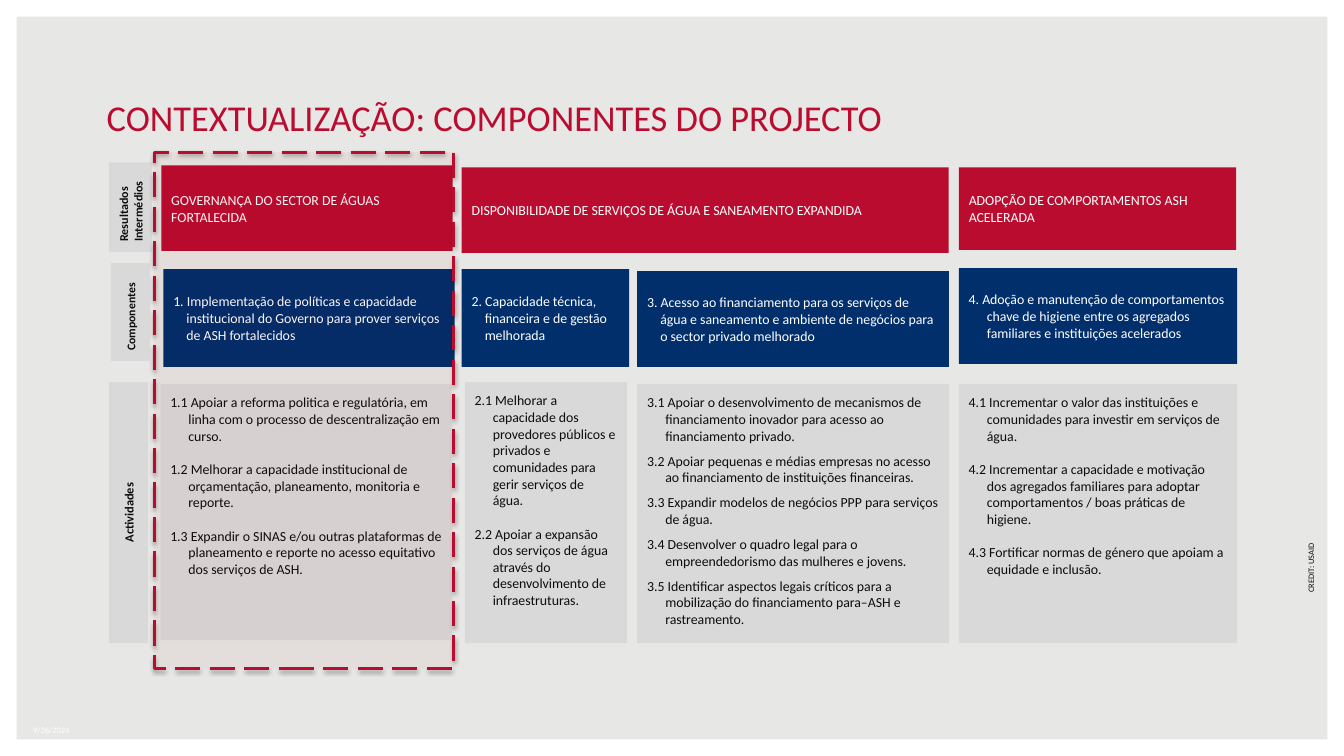
import pptx
import pptx.util
import pptx.dml.color
import pptx.enum.dml
import pptx.enum.shapes
import pptx.enum.text
import pptx.oxml
import pptx.oxml.ns
from lxml import etree

Inches, Pt = pptx.util.Inches, pptx.util.Pt
ANCHOR = pptx.enum.text.MSO_ANCHOR
ALIGN = pptx.enum.text.PP_ALIGN
PRESET = pptx.enum.shapes.MSO_SHAPE

THEME = {
    "font": "Calibri",
    "background": "E7E7E5", "white": "FFFFFF", "red": "BA0C2F", "blue": "002F6C",
    "grey": "D9D9D9", "ink": "0D0D0D", "tint": "C00000",
    "title_size": 26, "body_size": 9.9, "small_size": 6,
}

TITLE = "CONTEXTUALIZAÇÃO: COMPONENTES DO PROJECTO"
CREDIT = "CREDIT: USAID"
DATE = "9/26/2024"

ROW_LABELS = [
    ("Resultados Intermédios", (1.08, 1.61, 0.43, 0.89), 8.6, ALIGN.LEFT),
    ("Componentes", (1.1, 2.61, 0.39, 0.97), 8.4, ALIGN.LEFT),
    ("Actividades", (1.08, 3.79, 0.39, 2.59), 8.9, ALIGN.CENTER),
]

RESULTS = [
    ("GOVERNANÇA DO SECTOR DE ÁGUAS FORTALECIDA", (1.6, 1.64, 2.89, 0.85)),
    ("DISPONIBILIDADE DE SERVIÇOS DE ÁGUA E SANEAMENTO EXPANDIDA", (4.58, 1.66, 4.83, 0.85)),
    ("ADOPÇÃO DE COMPORTAMENTOS ASH ACELERADA", (9.51, 1.66, 2.75, 0.82)),
]

COMPONENTS = [
    ("1. Implementação de políticas e capacidade institucional do Governo para prover "
     "serviços de ASH fortalecidos", (1.62, 2.67, 2.89, 0.97), 0.13),
    ("2. Capacidade técnica, financeira e de gestão melhorada", (4.58, 2.67, 1.66, 0.97), 0.13),
    ("3. Acesso ao financiamento para os serviços de água e saneamento e ambiente de "
     "negócios para o sector privado melhorado", (6.32, 2.69, 3.09, 0.95), 0.13),
    ("4. Adoção e manutenção de comportamentos chave de higiene entre os agregados "
     "familiares e instituições acelerados", (9.51, 2.66, 2.76, 0.95), 0.18),
]

ACTIVITIES = [
    ([
        "1.1 Apoiar a reforma politica e regulatória, em linha com o processo de "
        "descentralização em curso.",
        "1.2 Melhorar a capacidade institucional de orçamentação, planeamento, monitoria "
        "e reporte.",
        "1.3 Expandir o SINAS e/ou outras plataformas de planeamento e reporte no acesso "
        "equitativo dos serviços de ASH.",
    ], (1.59, 3.81, 2.89, 2.54), 11.9),
    ([
        "2.1 Melhorar a capacidade dos provedores públicos e privados e comunidades para "
        "gerir serviços de água.",
        "2.2 Apoiar a expansão dos serviços de água através do desenvolvimento de "
        "infraestruturas.",
    ], (4.61, 3.79, 1.61, 2.59), 11.9),
    ([
        "3.1 Apoiar o desenvolvimento de mecanismos de financiamento inovador para acesso "
        "ao financiamento privado.",
        "3.2 Apoiar pequenas e médias empresas no acesso ao financiamento de instituições "
        "financeiras.",
        "3.3 Expandir modelos de negócios PPP para serviços de água.",
        "3.4 Desenvolver o quadro legal para o empreendedorismo das mulheres e jovens.",
        "3.5 Identificar aspectos legais críticos para a mobilização do financiamento "
        "para–ASH e rastreamento.",
    ], (6.32, 3.81, 3.09, 2.57), 6),
    ([
        "4.1 Incrementar o valor das instituições e comunidades para investir em serviços "
        "de água.",
        "4.2 Incrementar a capacidade e motivação dos agregados familiares para adoptar "
        "comportamentos / boas práticas de higiene.",
        "4.3 Fortificar normas de género que apoiam a equidade e inclusão.",
    ], (9.51, 3.81, 2.76, 2.57), 11.9),
]

HIGHLIGHT = (1.53, 1.51, 2.97, 5.12)


def color(name):
    return pptx.dml.color.RGBColor.from_string(THEME[name])


def write(frame, lines, size, ink, bold=False, align=ALIGN.LEFT, indent=0, after=0):
    frame.word_wrap = True
    for number, line in enumerate(lines):
        paragraph = frame.paragraphs[0] if number == 0 else frame.add_paragraph()
        paragraph.text = line
        paragraph.alignment = align
        paragraph.space_after = Pt(after)
        if indent:
            properties = paragraph._p.get_or_add_pPr()
            properties.set("marL", str(Inches(indent)))
            properties.set("indent", str(-Inches(indent)))
        paragraph.font.name = THEME["font"]
        paragraph.font.size = Pt(size)
        paragraph.font.bold = bold
        paragraph.font.color.rgb = color(ink)


def add_panel(slide, place, fill, preset=PRESET.RECTANGLE):
    panel = slide.shapes.add_shape(preset, *map(Inches, place))
    panel.shadow.inherit = False
    panel.fill.solid()
    panel.fill.fore_color.rgb = color(fill)
    panel.line.fill.background()
    return panel


def add_card(slide, lines, place, fill, ink, size=THEME["body_size"],
             anchor=ANCHOR.MIDDLE, **style):
    frame = add_panel(slide, place, fill).text_frame
    frame.margin_left = frame.margin_right = Inches(0.1)
    frame.margin_top = frame.margin_bottom = Inches(0.1)
    frame.vertical_anchor = anchor
    write(frame, lines, size, ink, **style)
    return frame


def add_caption(slide, text, place, size, ink, anchor=ANCHOR.TOP):
    caption = slide.shapes.add_textbox(*map(Inches, place))
    caption.text_frame.vertical_anchor = anchor
    write(caption.text_frame, [text], size, ink)
    return caption


def add_highlight(slide):
    highlight = add_panel(slide, HIGHLIGHT, "tint")
    ns = pptx.oxml.ns.qn
    tint = highlight._element.spPr.find(ns("a:solidFill"))[0]
    etree.SubElement(tint, ns("a:alpha"), val="3000")
    highlight.line.color.rgb = color("red")
    highlight.line.width = Pt(2.25)
    highlight.line.dash_style = pptx.enum.dml.MSO_LINE.LONG_DASH
    effects = highlight._element.spPr.find(ns("a:effectLst"))
    shadow = etree.SubElement(effects, ns("a:outerShdw"), blurRad=str(Pt(3.1)),
                              dist=str(Pt(1.8)), dir="5400000", rotWithShape="0")
    shade = etree.SubElement(shadow, ns("a:srgbClr"), val="000000")
    etree.SubElement(shade, ns("a:alpha"), val="35000")


def main():
    deck = pptx.Presentation()
    deck.slide_width, deck.slide_height = Inches(13.33), Inches(7.5)
    slide = deck.slides.add_slide(deck.slide_layouts[6])
    slide.background.fill.solid()
    slide.background.fill.fore_color.rgb = color("background")

    border = add_panel(slide, (0, 0, 13.33, 7.5), "white", PRESET.FRAME)
    border.adjustments[0] = 0.022
    add_caption(slide, DATE, (0.23, 7.14, 1.5, 0.2), THEME["small_size"], "white", ANCHOR.MIDDLE)
    add_caption(slide, TITLE, (0.96, 0.89, 11.51, 0.54), THEME["title_size"], "red", ANCHOR.BOTTOM)
    credit = add_caption(slide, CREDIT, (11.51, 4.39, 2.98, 0.2), THEME["small_size"], "ink")
    credit.rotation = 270

    for component, place, indent in COMPONENTS:
        add_card(slide, [component], place, "blue", "white", indent=indent)
    for activities, place, after in ACTIVITIES:
        add_card(slide, activities, place, "grey", "ink", anchor=ANCHOR.TOP,
                 indent=0.18, after=after)
    for result, place in RESULTS:
        add_card(slide, [result], place, "red", "white")
    for label, place, size, align in ROW_LABELS:
        frame = add_card(slide, [label], place, "grey", "ink", size, bold=True, align=align)
        frame._txBody.bodyPr.set("vert", "vert270")
    add_highlight(slide)

    deck.save("out.pptx")


if __name__ == "__main__":
    main()
